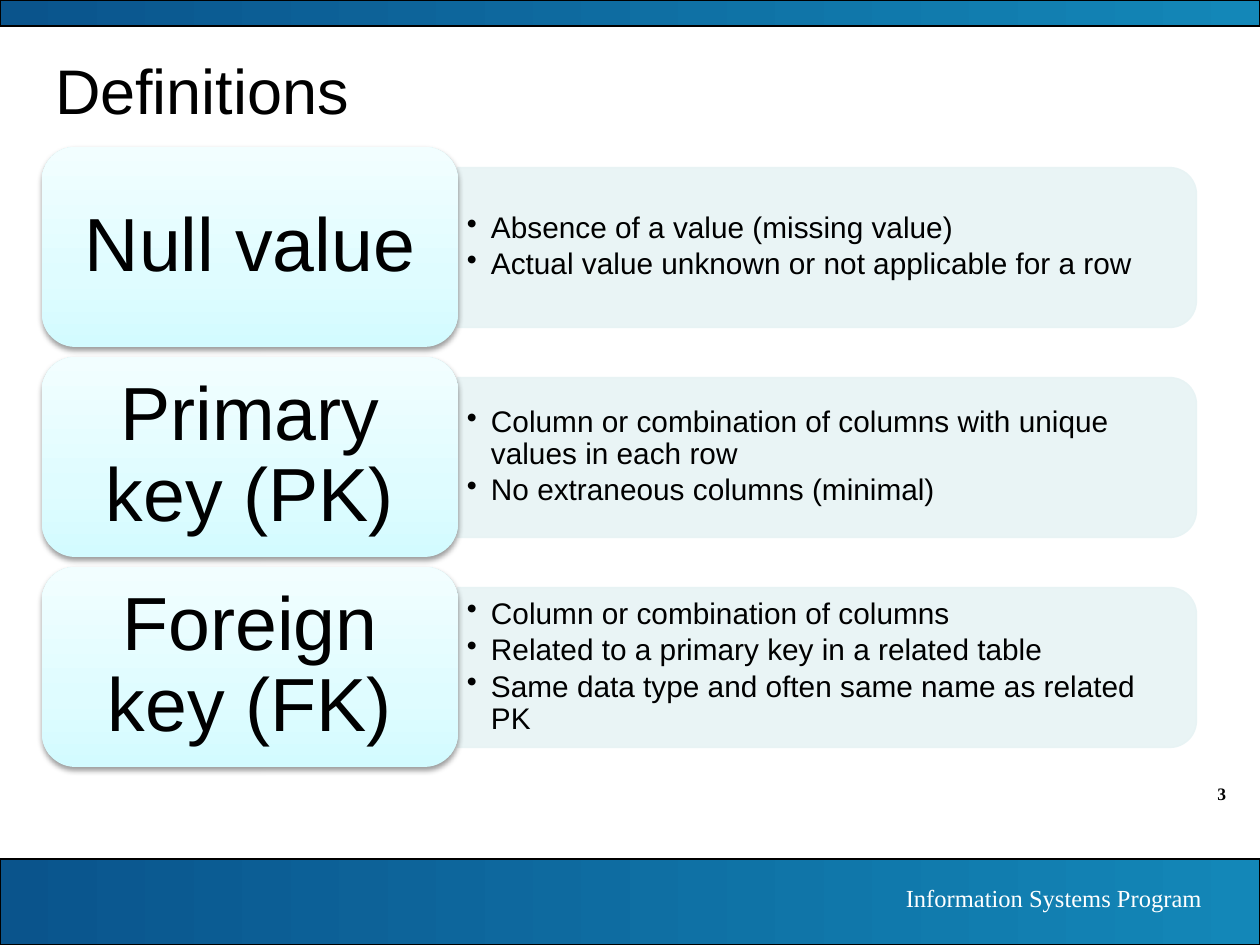
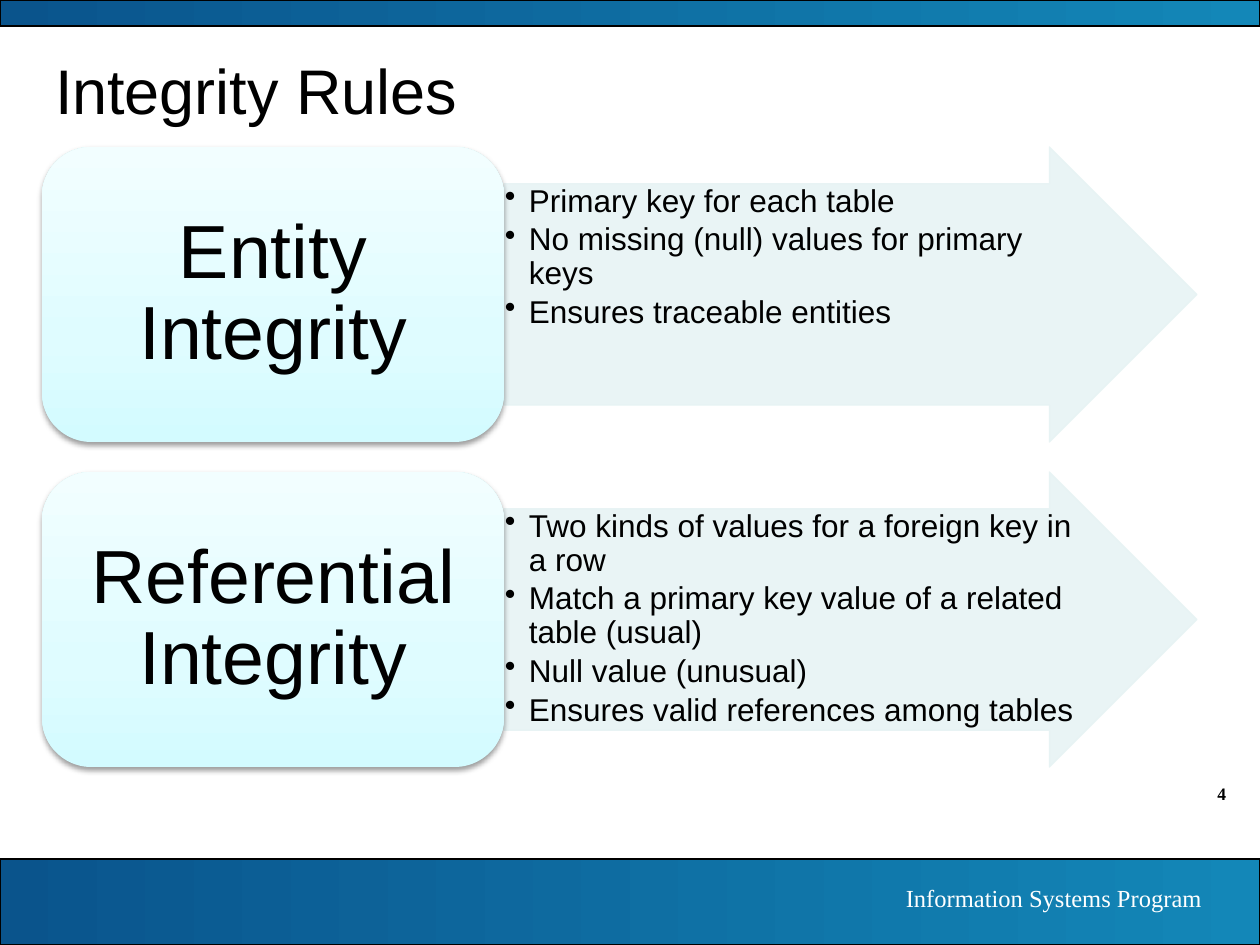
from dataclasses import dataclass

from pptx import Presentation
from pptx.dml.color import RGBColor
from pptx.enum.shapes import MSO_SHAPE
from pptx.enum.text import MSO_ANCHOR, MSO_AUTO_SIZE, PP_ALIGN
from pptx.oxml import parse_xml
from pptx.oxml.ns import nsdecls, qn
from pptx.shapes.autoshape import Shape
from pptx.slide import Slide
from pptx.util import Emu, Pt

RECT = MSO_SHAPE.RECTANGLE
CARD = MSO_SHAPE.ROUNDED_RECTANGLE
TAB = MSO_SHAPE.ROUND_2_SAME_RECTANGLE
ARROW = MSO_SHAPE.RIGHT_ARROW
TOP, MIDDLE = MSO_ANCHOR.TOP, MSO_ANCHOR.MIDDLE
LEFT, CENTER, RIGHT = PP_ALIGN.LEFT, PP_ALIGN.CENTER, PP_ALIGN.RIGHT
NO_AUTOFIT = MSO_AUTO_SIZE.NONE

COLORS = {
    "black": "000000",
    "white": "FFFFFF",
    "band_dark": "0A548C",
    "band_light": "1387B8",
    "panel": "E7F3F4",
    "card_low": "D3FBFF",
    "card_mid": "DFFCFF",
    "card_high": "F2FEFF",
}
SANS, SERIF = "Arial", "Times New Roman"
BAND_STOPS = ((0, "band_dark"), (100, "band_light"))
CARD_STOPS = ((0, "card_low"), (35, "card_mid"), (100, "card_high"))

EMU_PER_PX = 914400 / 126
SLIDE_W, SLIDE_H = 1260, 945
ROWS_LEFT, ROWS_TOP, ROWS_RIGHT, ROWS_HEIGHT = 42, 147, 1197, 620
BULLET_INDENT = 24


@dataclass(frozen=True)
class Box:
    left: int
    top: int
    width: int
    height: int


@dataclass(frozen=True)
class TextStyle:
    size: int
    font: str = SANS
    color: str = "black"
    bold: bool = False
    align: PP_ALIGN = LEFT
    anchor: MSO_ANCHOR = MIDDLE
    insets: tuple[int, int] = (13, 6)
    line_spacing: float = 1.0
    bulleted: bool = False


@dataclass(frozen=True)
class Row:
    label: str
    points: tuple[str, ...]


@dataclass(frozen=True)
class Page:
    number: int
    title: str
    rows: tuple[Row, ...]
    label_width: int
    gap_share: float
    arrows: bool


TITLE = TextStyle(36)
PROGRAM = TextStyle(14, SERIF, "white", align=RIGHT, anchor=TOP)
NUMBER = TextStyle(10, SERIF, bold=True, align=RIGHT, anchor=TOP)
LABEL = TextStyle(43, align=CENTER, insets=(23, 11), line_spacing=0.9)
TAB_POINTS = TextStyle(17, insets=(9, 5), line_spacing=0.9, bulleted=True)
ARROW_POINTS = TextStyle(18, anchor=TOP, insets=(1, 1), line_spacing=0.9, bulleted=True)

PAGES = (
    Page(3, "Definitions", (
        Row("Null value", (
            "Absence of a value (missing value)",
            "Actual value unknown or not applicable for a row",
        )),
        Row("Primary key (PK)", (
            "Column or combination of columns with unique values in each row",
            "No extraneous columns (minimal)",
        )),
        Row("Foreign key (FK)", (
            "Column or combination of columns",
            "Related to a primary key in a related table",
            "Same data type and often same name as related PK",
        )),
    ), label_width=416, gap_share=0.05, arrows=False),
    Page(4, "Integrity Rules", (
        Row("Entity Integrity", (
            "Primary key for each table",
            "No missing (null) values for primary keys",
            "Ensures traceable entities",
        )),
        Row("Referential Integrity", (
            "Two kinds of values for a foreign key in a row",
            "Match a primary key value of a related table (usual)",
            "Null value (unusual)",
            "Ensures valid references among tables",
        )),
    ), label_width=462, gap_share=0.1, arrows=True),
)


def px(length: float) -> Emu:
    return Emu(round(length * EMU_PER_PX))


def rgb(name: str) -> RGBColor:
    return RGBColor.from_string(COLORS[name])


def place(box: Box) -> tuple[Emu, ...]:
    return tuple(px(n) for n in (box.left, box.top, box.width, box.height))


def apply(target: object, values: dict[str, object]) -> None:
    for attribute, value in values.items():
        setattr(target, attribute, value)


def write(shape: Shape, lines: tuple[str, ...], style: TextStyle) -> None:
    frame = shape.text_frame
    side, edge = (px(n) for n in style.insets)
    apply(frame, {
        "word_wrap": True, "auto_size": NO_AUTOFIT, "vertical_anchor": style.anchor,
        "margin_left": side, "margin_right": side,
        "margin_top": edge, "margin_bottom": edge,
    })
    for index, line in enumerate(lines):
        paragraph = frame.add_paragraph() if index else frame.paragraphs[0]
        apply(paragraph, {"alignment": style.align, "line_spacing": style.line_spacing})
        if style.bulleted:
            paragraph.space_after = Pt(round(style.size * 0.15, 1))
            properties = paragraph._p.get_or_add_pPr()
            properties.set("marL", str(px(BULLET_INDENT)))
            properties.set("indent", str(-px(BULLET_INDENT)))
            properties.append(parse_xml(f'<a:buChar {nsdecls("a")} char="•"/>'))
        run = paragraph.add_run()
        run.text = line
        apply(run.font, {"name": style.font, "size": Pt(style.size), "bold": style.bold})
        run.font.color.rgb = rgb(style.color)


def add_text(slide: Slide, box: Box, lines: tuple[str, ...], style: TextStyle) -> None:
    write(slide.shapes.add_textbox(*place(box)), lines, style)


def add_flat(slide: Slide, kind: MSO_SHAPE, box: Box) -> Shape:
    shape = slide.shapes.add_shape(kind, *place(box))
    shape.shadow.inherit = False
    return shape


def fill_gradient(shape: Shape, stops: tuple[tuple[int, str], ...], angle: int) -> None:
    shape.fill.gradient()
    properties = shape._element.spPr
    marks = "".join(
        f'<a:gs pos="{share * 1000}"><a:srgbClr val="{COLORS[name]}"/></a:gs>'
        for share, name in stops
    )
    properties.replace(properties.find(qn("a:gradFill")), parse_xml(
        f'<a:gradFill {nsdecls("a")} rotWithShape="1"><a:gsLst>{marks}</a:gsLst>'
        f'<a:lin ang="{angle * 60000}" scaled="0"/></a:gradFill>'
    ))


def add_band(slide: Slide, box: Box) -> None:
    band = add_flat(slide, RECT, box)
    fill_gradient(band, BAND_STOPS, 0)
    band.line.color.rgb = rgb("black")
    band.line.width = Pt(0.75)


def add_panel(slide: Slide, kind: MSO_SHAPE, box: Box) -> Shape:
    panel = add_flat(slide, kind, box)
    panel.fill.solid()
    panel.fill.fore_color.rgb = rgb("panel")
    panel.line.color.rgb = rgb("panel")
    panel.line.width = Pt(0.75)
    for color in panel._element.spPr.iter(qn("a:srgbClr")):
        color.append(parse_xml(f'<a:alpha {nsdecls("a")} val="90000"/>'))
    return panel


def add_tab(slide: Slide, box: Box, points: tuple[str, ...]) -> None:
    shift = (box.width - box.height) // 2
    upright = Box(box.left + shift, box.top - shift, box.height, box.width)
    add_panel(slide, TAB, upright).rotation = 90
    inner = Box(box.left, box.top + 8, box.width - 8, box.height - 16)
    add_text(slide, inner, points, TAB_POINTS)


def add_arrow(slide: Slide, box: Box, points: tuple[str, ...]) -> None:
    arrow = add_panel(slide, ARROW, box)
    arrow.adjustments[0], arrow.adjustments[1] = 0.75, 0.5
    write(arrow, points, ARROW_POINTS)


def add_label(slide: Slide, box: Box, label: str) -> None:
    card = add_flat(slide, CARD, box)
    fill_gradient(card, CARD_STOPS, 270)
    card.line.fill.background()
    card._element.spPr.find(qn("a:effectLst")).append(parse_xml(
        f'<a:outerShdw {nsdecls("a")} blurRad="40000" dist="20000" dir="5400000" '
        f'rotWithShape="0"><a:srgbClr val="{COLORS["black"]}">'
        '<a:alpha val="38000"/></a:srgbClr></a:outerShdw>'
    ))
    write(card, (label,), LABEL)


def add_rows(slide: Slide, page: Page) -> None:
    count = len(page.rows)
    pitch_share = 1 + page.gap_share
    height = ROWS_HEIGHT / (count + (count - 1) * page.gap_share)
    panel_left = ROWS_LEFT + page.label_width
    panel_width = ROWS_RIGHT - panel_left
    for index, row in enumerate(page.rows):
        top = round(ROWS_TOP + index * height * pitch_share)
        if page.arrows:
            add_arrow(slide, Box(panel_left, top, panel_width, round(height)), row.points)
        else:
            inset = round(height * 0.1)
            tab = Box(panel_left, top + inset, panel_width, round(height) - 2 * inset)
            add_tab(slide, tab, row.points)
        add_label(slide, Box(ROWS_LEFT, top, page.label_width, round(height)), row.label)


def add_frame(slide: Slide, page: Page) -> None:
    add_text(slide, Box(1134, 777, 105, 34), (str(page.number),), NUMBER)
    add_band(slide, Box(0, 859, SLIDE_W, 86))
    add_band(slide, Box(0, 0, SLIDE_W, 26))
    add_text(slide, Box(699, 877, 516, 43), ("Information Systems Program",), PROGRAM)
    title = slide.shapes.title
    title.left, title.top, title.width, title.height = place(Box(42, 42, 1155, 94))
    write(title, (page.title,), TITLE)


def main() -> None:
    deck = Presentation()
    deck.slide_width, deck.slide_height = px(SLIDE_W), px(SLIDE_H)
    title_only = deck.slide_layouts[5]
    for page in PAGES:
        slide = deck.slides.add_slide(title_only)
        add_frame(slide, page)
        add_rows(slide, page)
    deck.save("out.pptx")


main()
